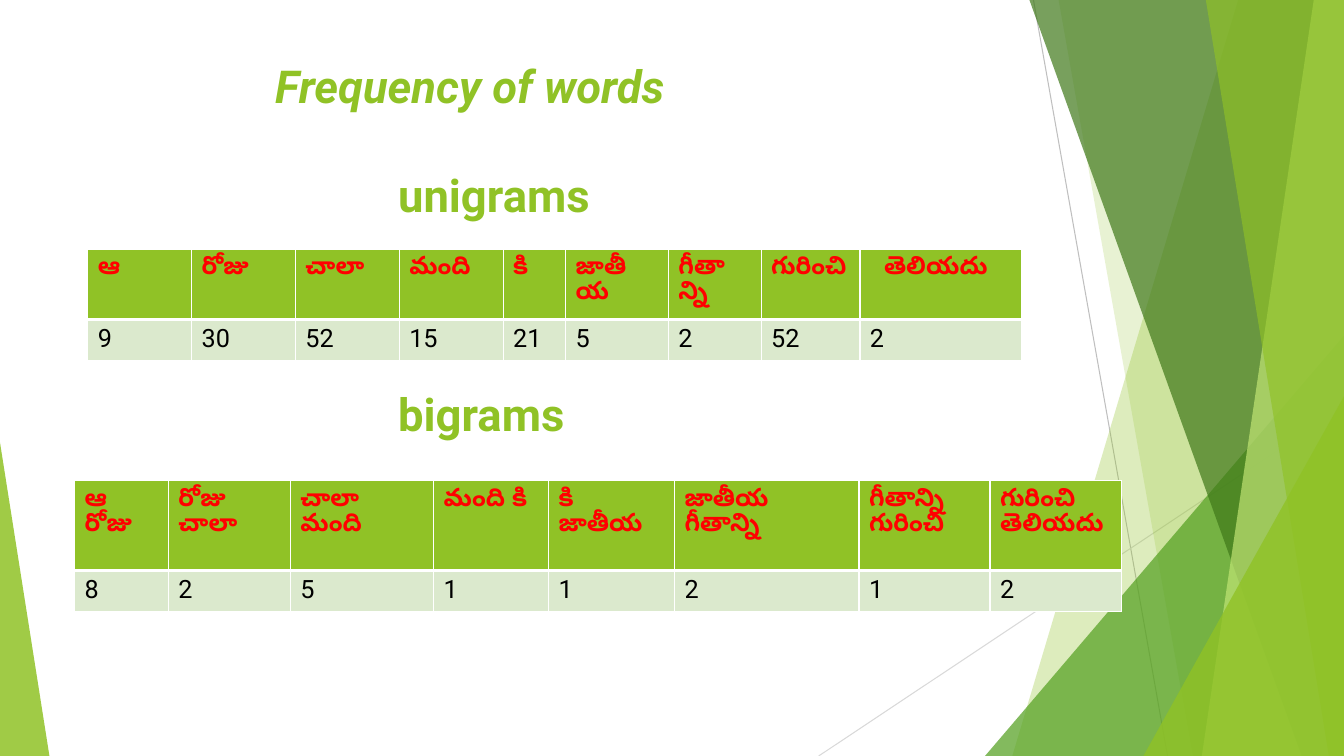
from dataclasses import dataclass

from lxml.etree import SubElement
from pptx import Presentation
from pptx.dml.color import RGBColor
from pptx.enum.shapes import MSO_CONNECTOR as Connector, MSO_SHAPE as Shape
from pptx.enum.text import MSO_ANCHOR as Anchor, MSO_AUTO_SIZE as AutoSize, PP_ALIGN as Align
from pptx.oxml.ns import qn
from pptx.util import Inches, Pt

COLORS = {
    "green": "90C226", "mid": "54A021", "dark": "3F7819", "lime": "C0E474",
    "pale": "DBE9CD", "red": "FF0000", "black": "000000", "white": "FFFFFF",
    "gray": "BFBFBF", "light_gray": "D9D9D9",
}
FONT = "Roboto"
WIDTH, HEIGHT = 13.33, 7.5


@dataclass
class Ray:
    start: tuple[float, float]
    end: tuple[float, float]
    color: str


@dataclass
class Band:
    """A facet that reaches the right edge of the slide."""
    top_x: float
    bottom_x: float
    color: str
    alpha: int


@dataclass
class Corner:
    left: float
    top: float
    width: float
    apex: float
    color: str
    alpha: int


@dataclass
class Heading:
    text: str
    top: float


@dataclass
class FrequencyTable:
    left: float
    top: float
    header_height: float
    columns: list[float]
    words: list[str]
    counts: list[int]


RAYS = [
    Ray((10.25, 0), (11.58, HEIGHT), "gray"),
    Ray((WIDTH, 4.03), (8.12, HEIGHT), "light_gray"),
]
# Facets from back to front
FACETS = [
    Band(12.28, 10.04, "green", 30),
    Band(10.5, 11.83, "green", 20),
    Corner(9.77, 3.33, 3.56, 1, "mid", 72),
    Band(10.21, 12.91, "dark", 70),
    Band(13.03, 11.92, "lime", 70),
    Band(11.96, 13.18, "green", 65),
    Corner(11.34, 3.93, 1.99, 1, "green", 80),
    Corner(0, 4.39, 0.49, 0, "green", 85),
]
HEADINGS = [Heading("unigrams", 1.61), Heading("bigrams", 3.78)]
UNIGRAMS = FrequencyTable(
    0.87, 2.47, 0.59, [1.03, 1.03, 1.03, 1.03, 0.62, 1.02, 0.92, 0.98, 1.6],
    ["ఆ", "రోజు", "చాలా", "మంది", "కి", "జాతీయ", "గీతాన్ని", "గురించి", "తెలియదు"],
    [9, 30, 52, 15, 21, 5, 2, 52, 2],
)
BIGRAMS = FrequencyTable(
    0.74, 4.77, 0.89, [0.93, 1.21, 1.42, 1.14, 1.25, 1.83, 1.3, 1.3],
    ["ఆ రోజు", "రోజు చాలా", "చాలా మంది", "మంది కి", "కి జాతీయ",
     "జాతీయ గీతాన్ని", "గీతాన్ని గురించి", "గురించి తెలియదు"],
    [8, 2, 5, 1, 1, 2, 1, 2],
)


def rgb(name: str) -> RGBColor:
    return RGBColor.from_string(COLORS[name])


def write(tf, text: str, *, size: float, color: str, bold=False, italic=False) -> None:
    p = tf.paragraphs[0]
    p.alignment = Align.LEFT
    r = p.add_run()
    r.text = text
    r.font.name, r.font.size = FONT, Pt(size)
    r.font.bold, r.font.italic = bold, italic
    r.font.color.rgb = rgb(color)


def draw_ray(slide, ray: Ray) -> None:
    points = [Inches(v) for v in ray.start + ray.end]
    line = slide.shapes.add_connector(Connector.STRAIGHT, *points)
    line.line.color.rgb = rgb(ray.color)
    line.line.width = Pt(0.75)
    SubElement(line._element.spPr, qn("a:effectLst"))


def draw_facet(slide, facet: Band | Corner) -> None:
    if isinstance(facet, Band):
        outline = [(WIDTH, 0), (WIDTH, HEIGHT), (facet.bottom_x, HEIGHT)]
        builder = slide.shapes.build_freeform(Inches(facet.top_x), 0)
        builder.add_line_segments([(Inches(x), Inches(y)) for x, y in outline])
        sp = builder.convert_to_shape()
    else:
        sp = slide.shapes.add_shape(
            Shape.ISOSCELES_TRIANGLE, Inches(facet.left), Inches(facet.top),
            Inches(facet.width), Inches(HEIGHT - facet.top))
        sp.adjustments[0] = facet.apex
    sp.shadow.inherit = False
    sp.line.fill.background()
    sp.fill.solid()
    sp.fill.fore_color.rgb = rgb(facet.color)
    color = sp._element.spPr.find(qn("a:solidFill"))[0]
    SubElement(color, qn("a:alpha"), val=str(facet.alpha * 1000))


def set_borders(cell, **widths: float) -> None:
    tc_pr = cell._tc.get_or_add_tcPr()
    for side in "LRTB":
        ln = SubElement(tc_pr, qn(f"a:ln{side}"), w=str(Pt(widths.get(side, 1))))
        fill = SubElement(ln, qn("a:solidFill"))
        SubElement(fill, qn("a:srgbClr"), val=COLORS["white"])


def draw_table(slide, data: FrequencyTable):
    heights = [data.header_height, 0.41]
    table = slide.shapes.add_table(
        2, len(data.columns), Inches(data.left), Inches(data.top),
        Inches(sum(data.columns)), Inches(sum(heights))).table
    for row, height in zip(table.rows, heights):
        row.height = Inches(height)
    for i, width in enumerate(data.columns):
        table.columns[i].width = Inches(width)
        head, body = table.cell(0, i), table.cell(1, i)
        write(head.text_frame, data.words[i], size=18, color="red", bold=True)
        write(body.text_frame, str(data.counts[i]), size=18, color="black")
        set_borders(head, B=3)
        set_borders(body, T=3)
        for cell, color in ((head, "green"), (body, "pale")):
            cell.fill.solid()
            cell.fill.fore_color.rgb = rgb(color)
    return table


def main() -> None:
    prs = Presentation()
    prs.slide_width, prs.slide_height = Inches(WIDTH), Inches(HEIGHT)
    slide = prs.slides.add_slide(prs.slide_layouts[5])

    # Background facets
    for ray in RAYS:
        draw_ray(slide, ray)
    for facet in FACETS:
        draw_facet(slide, facet)

    # Title and table headings
    title = slide.shapes.title
    title.left, title.top = Inches(2.52), Inches(0.53)
    title.width, title.height = Inches(5.58), Inches(0.7)
    tf = title.text_frame
    tf.auto_size, tf.vertical_anchor = AutoSize.NONE, Anchor.TOP
    tf.margin_left = Inches(0.21)
    write(tf, "Frequency of words", size=32.4, color="green", bold=True, italic=True)
    for heading in HEADINGS:
        box = slide.shapes.add_textbox(
            Inches(3.85), Inches(heading.top), Inches(4.25), Inches(0.7))
        box.text_frame.word_wrap = True
        write(box.text_frame, heading.text, size=32.4, color="green", bold=True)

    # Word counts
    unigrams = draw_table(slide, UNIGRAMS)
    unigrams.cell(0, 8).margin_left = Inches(0.24)
    draw_table(slide, BIGRAMS)

    prs.save("out.pptx")


if __name__ == "__main__":
    main()
